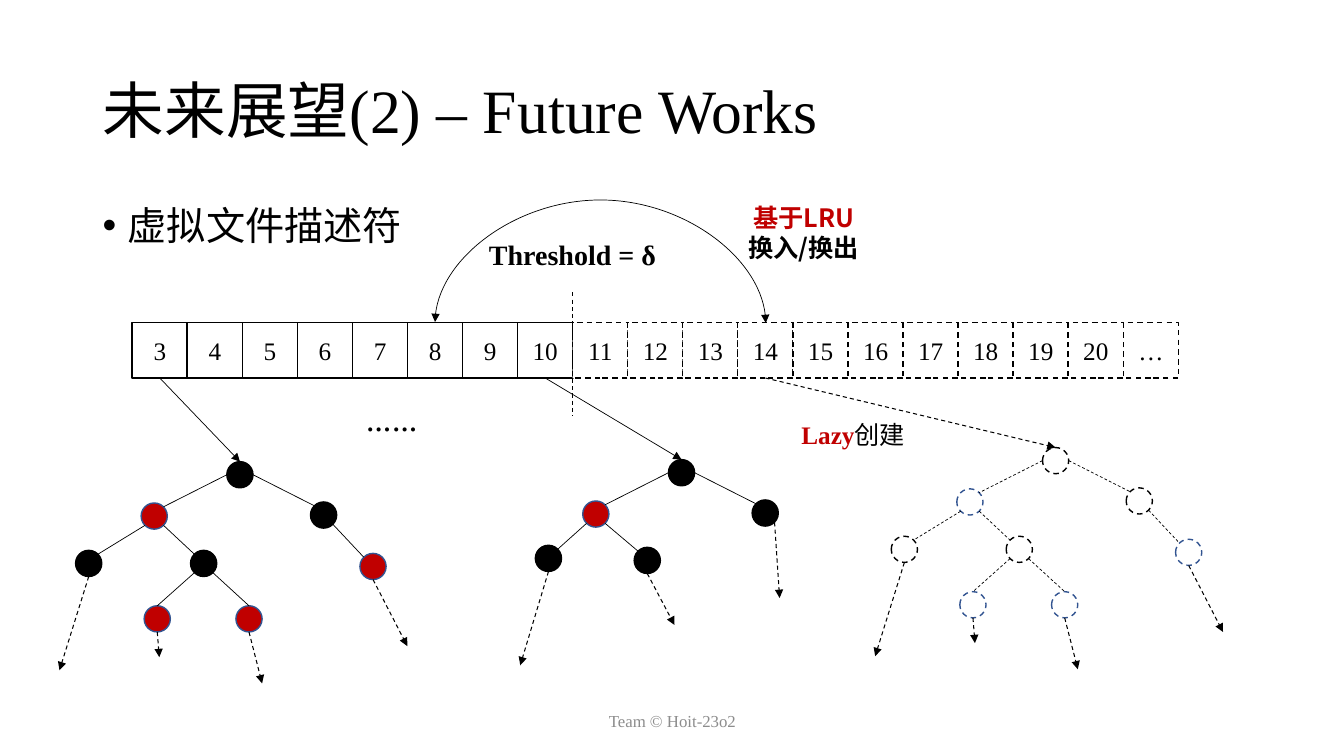
from pptx import Presentation
from pptx import util as u
from pptx.dml import color
from pptx.enum import dml, shapes, text
from pptx.oxml import ns, xmlchemy as xc

TIMES, NOTO = "Times New Roman", "Noto Sans CJK SC"
BLACK, RED, BLUE, WHITE, GREY = "000000", "C00000", "325491", "FFFFFF", "8C8C8C"

TITLE = "未来展望(2) – Future Works"
CELLS = [str(n) for n in range(3, 21)] + ["…"]
REAL = 8
LEFT, TOP, SIZE = 1.31, 3.2, 0.55
PITCH = (11.14 - LEFT) / 18
DOT = 0.26

LABELS = [
    ((4.42, 6.95, 4.5, 0.4), "c", [[("Team © Hoit-23o2", 12, TIMES, GREY, False)]]),
    ((3.31, 4.06, 1.16, 0.4), "c", [[("……", 18, NOTO, BLACK, True)]]),
    ((4.75, 2.3, 1.91, 0.44), "l", [[("Threshold = δ", 20, TIMES, BLACK, True)]]),
    ((7.85, 4.11, 1.35, 0.4), "l", [[("Lazy", 18, TIMES, RED, True),
                                     ("创建", 18, NOTO, BLACK, False)]]),
    ((7.21, 1.95, 1.52, 0.71), "c", [[("基于LRU", 18, NOTO, RED, True)],
                                     [("换入/换出", 18, NOTO, BLACK, True)]]),
]

FULL = {
    "nodes": {"root": (0, 0), "l": (-0.85, 0.41), "r": (0.83, 0.4),
              "rr": (1.32, 0.91), "ll": (-1.5, 0.88), "lr": (-0.36, 0.88),
              "lrl": (-0.82, 1.43), "lrr": (0.09, 1.43)},
    "red": ("l", "rr", "lrl", "lrr"),
    "tails": [("ll", "S", -0.29, 0.93), ("lrl", "S", 0.02, 0.25),
              ("lrr", "S", 0.13, 0.51), ("rr", "S", 0.34, 0.66)],
}
SMALL = {
    "nodes": {"root": (0, 0), "l": (-0.85, 0.41), "r": (0.83, 0.4),
              "ll": (-1.32, 0.85), "lr": (-0.34, 0.87)},
    "red": ("l",),
    "tails": [("ll", "S", -0.28, 0.93), ("lr", "S", 0.27, 0.51),
              ("r", "SE", 0.05, 0.75)],
}
EDGES = [("root", "W", "l", "NE"), ("root", "E", "r", "NW"),
         ("l", "SE", "lr", "NW"), ("l", "SW", "ll", "NE"),
         ("r", "SE", "rr", "NW"), ("lr", "SW", "lrl", "N"),
         ("lr", "SE", "lrr", "N")]
TREES = [(FULL, 2.38, 4.71, "3", False), (SMALL, 6.76, 4.69, "10", False),
         (FULL, 10.47, 4.57, "14", True)]
PORTS = {"N": (0, -1), "S": (0, 1), "W": (-1, 0), "E": (1, 0),
         "NW": (-0.71, -0.71), "NE": (0.71, -0.71),
         "SW": (-0.71, 0.71), "SE": (0.71, 0.71)}


def rgb(code):
    return color.RGBColor.from_string(code)


def add_run(par, words, size, face, ink, bold=False):
    run = par.add_run()
    run.text = words
    font = run.font
    font.size, font.name, font.bold = u.Pt(size), face, bold
    font.color.rgb = rgb(ink)
    east = xc.OxmlElement("a:ea")
    east.set("typeface", NOTO)
    font._element.find(ns.qn("a:latin")).addnext(east)


def stroke(line, ink, width, dash=False):
    line.color.rgb = rgb(ink)
    line.width = u.Pt(width)
    if dash:
        line.dash_style = dml.MSO_LINE.DASH


def add_shape(owner, kind, box, fill, ink, dash):
    item = owner.add_shape(kind, *map(u.Inches, box))
    item.shadow.inherit = False
    item.fill.solid()
    item.fill.fore_color.rgb = rgb(fill)
    stroke(item.line, ink, 1, dash)
    return item


def add_line(owner, start, end, width=0.5, dash=False, ends=(), kind="STRAIGHT"):
    link = owner.add_connector(shapes.MSO_CONNECTOR[kind],
                               *map(u.Inches, (*start, *end)))
    stroke(link.line, BLACK, width, dash)
    pen = link.line._get_or_add_ln()
    for end_tag in ends:
        tip = xc.OxmlElement("a:" + end_tag)
        tip.set("type", "triangle")
        pen.append(tip)
    link.element.spPr.append(xc.OxmlElement("a:effectLst"))
    return link


def add_text(slide, box, side, pars):
    frame = slide.shapes.add_textbox(*map(u.Inches, box)).text_frame
    frame.word_wrap = True
    frame.vertical_anchor = text.MSO_ANCHOR.MIDDLE
    for i, runs in enumerate(pars):
        par = frame.add_paragraph() if i else frame.paragraphs[0]
        par.alignment = text.PP_ALIGN.CENTER if side == "c" else text.PP_ALIGN.LEFT
        for run in runs:
            add_run(par, *run)
    return frame


def add_head(slide):
    title = slide.shapes.title
    title.left, title.top, title.width, title.height = map(
        u.Inches, (0.92, 0.4, 11.5, 1.45))
    title.text_frame.vertical_anchor = text.MSO_ANCHOR.MIDDLE
    par = title.text_frame.paragraphs[0]
    par.alignment = text.PP_ALIGN.LEFT
    par.line_spacing = 0.9
    add_run(par, TITLE, 44, TIMES, BLACK)

    frame = add_text(slide, (0.92, 2, 11.5, 4.76), "l", [[]])
    frame.vertical_anchor = text.MSO_ANCHOR.TOP
    par = frame.paragraphs[0]
    par.line_spacing = 0.9
    props = par._p.get_or_add_pPr()
    props.set("marL", str(u.Inches(0.25)))
    props.set("indent", str(-u.Inches(0.25)))
    face = xc.OxmlElement("a:buFont")
    face.set("typeface", "Arial")
    mark = xc.OxmlElement("a:buChar")
    mark.set("char", "•")
    props.extend([face, mark])
    add_run(par, "虚拟文件描述符", 28, TIMES, BLACK)


def add_cells(slide):
    cells = {}
    for i, name in enumerate(CELLS):
        box = (LEFT + i * PITCH, TOP, SIZE, SIZE)
        cell = add_shape(slide.shapes, shapes.MSO_SHAPE.RECTANGLE, box,
                         WHITE, BLACK, i >= REAL)
        cell.text_frame.vertical_anchor = text.MSO_ANCHOR.MIDDLE
        par = cell.text_frame.paragraphs[0]
        par.alignment = text.PP_ALIGN.CENTER
        add_run(par, name, 18, TIMES, BLACK)
        cells[name] = cell
    split = LEFT + REAL * PITCH
    add_line(slide.shapes, (split, 2.9), (split, 4.13), 0.75, True)
    return cells


def add_tree(slide, tree, x, y, cell, lazy):
    owner = slide.shapes.add_group_shape().shapes
    spots = {name: (x + dx, y + dy) for name, (dx, dy) in tree["nodes"].items()}
    dots = {}
    for name, (cx, cy) in spots.items():
        red = name in tree["red"]
        fill = WHITE if lazy else RED if red else BLACK
        dots[name] = add_shape(owner, shapes.MSO_SHAPE.OVAL,
                               (cx - DOT / 2, cy - DOT / 2, DOT, DOT),
                               fill, BLUE if red else BLACK, lazy)

    def port(name, way):
        return tuple(c + d * DOT / 2 for c, d in zip(spots[name], PORTS[way]))

    for top, out, low, into in EDGES:
        if low in spots:
            add_line(owner, port(top, out), port(low, into), dash=lazy)
    for name, way, dx, dy in tree["tails"]:
        px, py = port(name, way)
        add_line(owner, (px, py), (px + dx, py + dy), 0.75, True, ["tailEnd"])
    link = add_line(slide.shapes, (0, 0), (1, 1), 0.75 if lazy else 0.5, lazy,
                    ["tailEnd"])
    link.begin_connect(cell, 2)
    link.end_connect(dots["root"], 0)


def add_arc(slide):
    arc = add_line(slide.shapes, (5.95, 4.84), (5.96, 1.56),
                   ends=["headEnd", "tailEnd"], kind="CURVE")
    props = arc.element.spPr
    props.find(ns.qn("a:xfrm")).set("rot", str(270 * 60000))
    guide = xc.OxmlElement("a:gd")
    guide.set("name", "adj1")
    guide.set("fmla", "val 12400000")
    props.find(ns.qn("a:prstGeom")).get_or_add_avLst().append(guide)


def main():
    deck = Presentation()
    deck.slide_width, deck.slide_height = u.Inches(13.33), u.Inches(7.5)
    slide = deck.slides.add_slide(deck.slide_layouts[5])
    add_head(slide)
    cells = add_cells(slide)
    for tree, x, y, name, lazy in TREES:
        add_tree(slide, tree, x, y, cells[name], lazy)
    add_arc(slide)
    for label in LABELS:
        add_text(slide, *label)
    deck.save("out.pptx")


if __name__ == "__main__":
    main()
